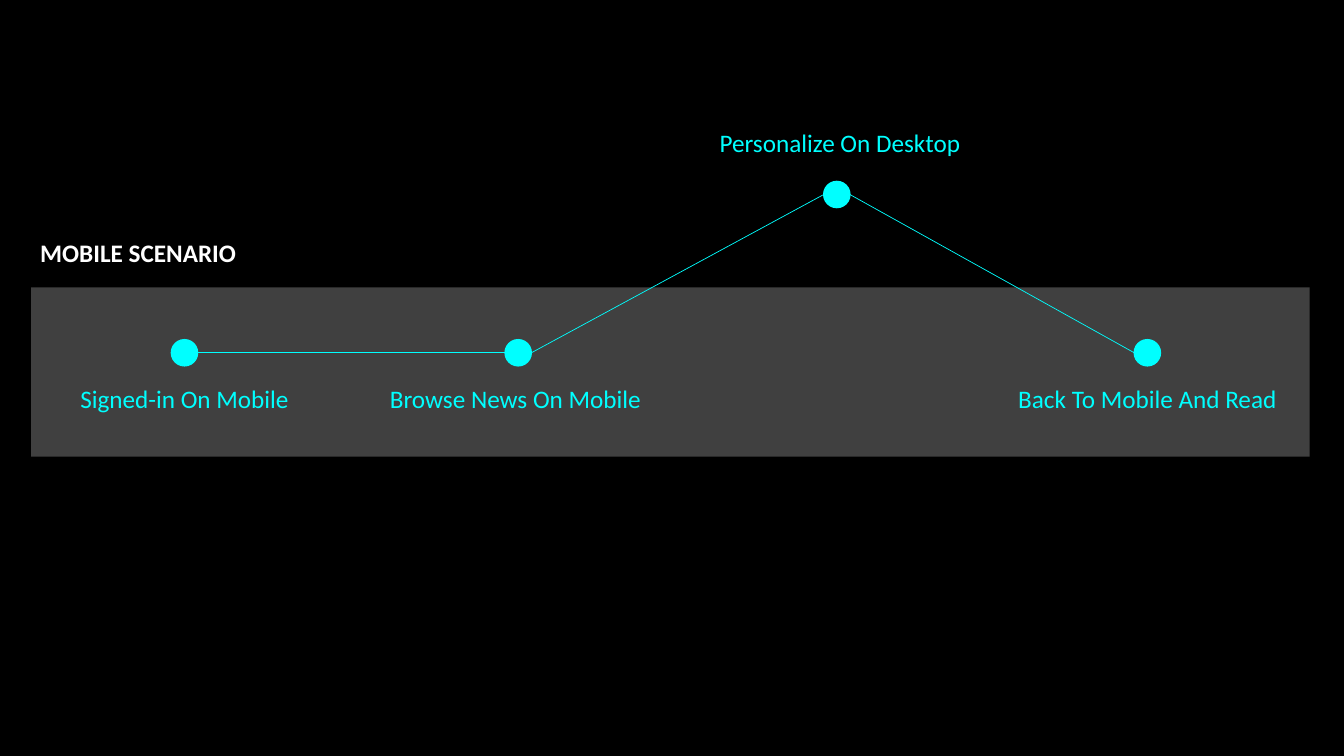
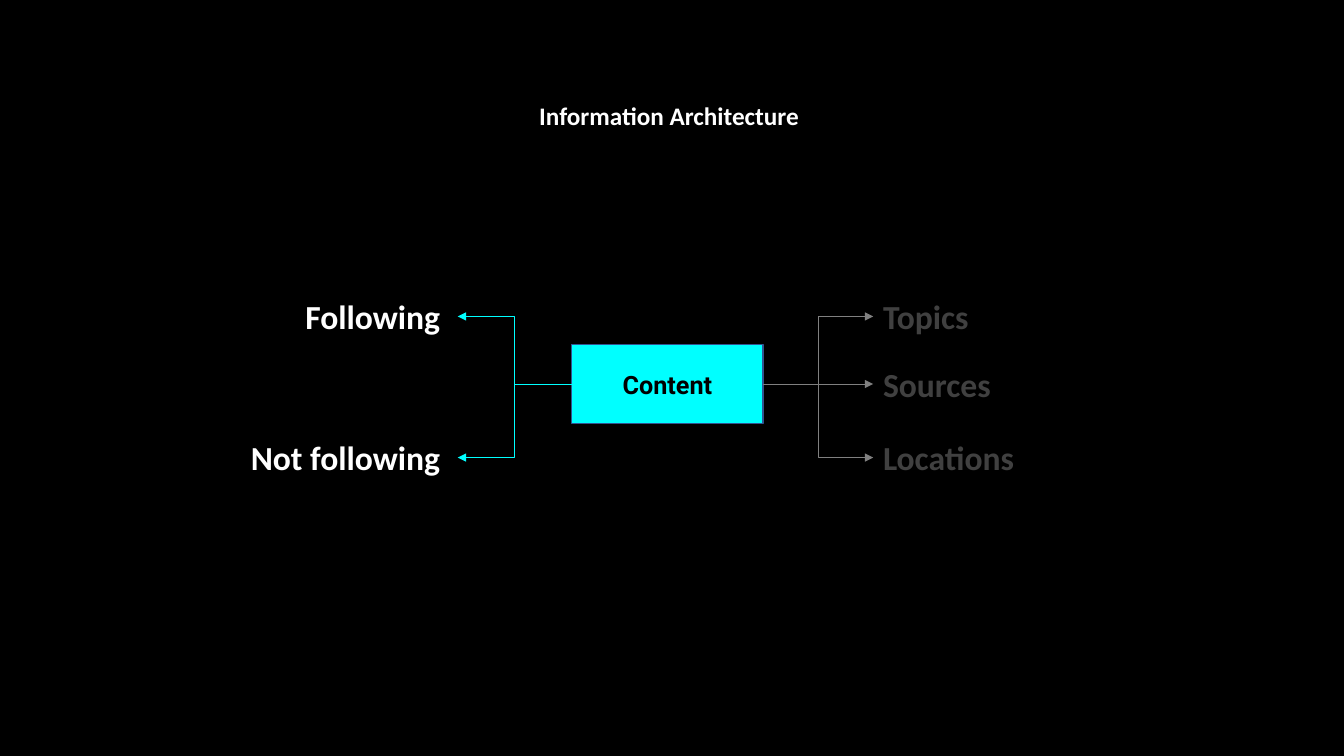
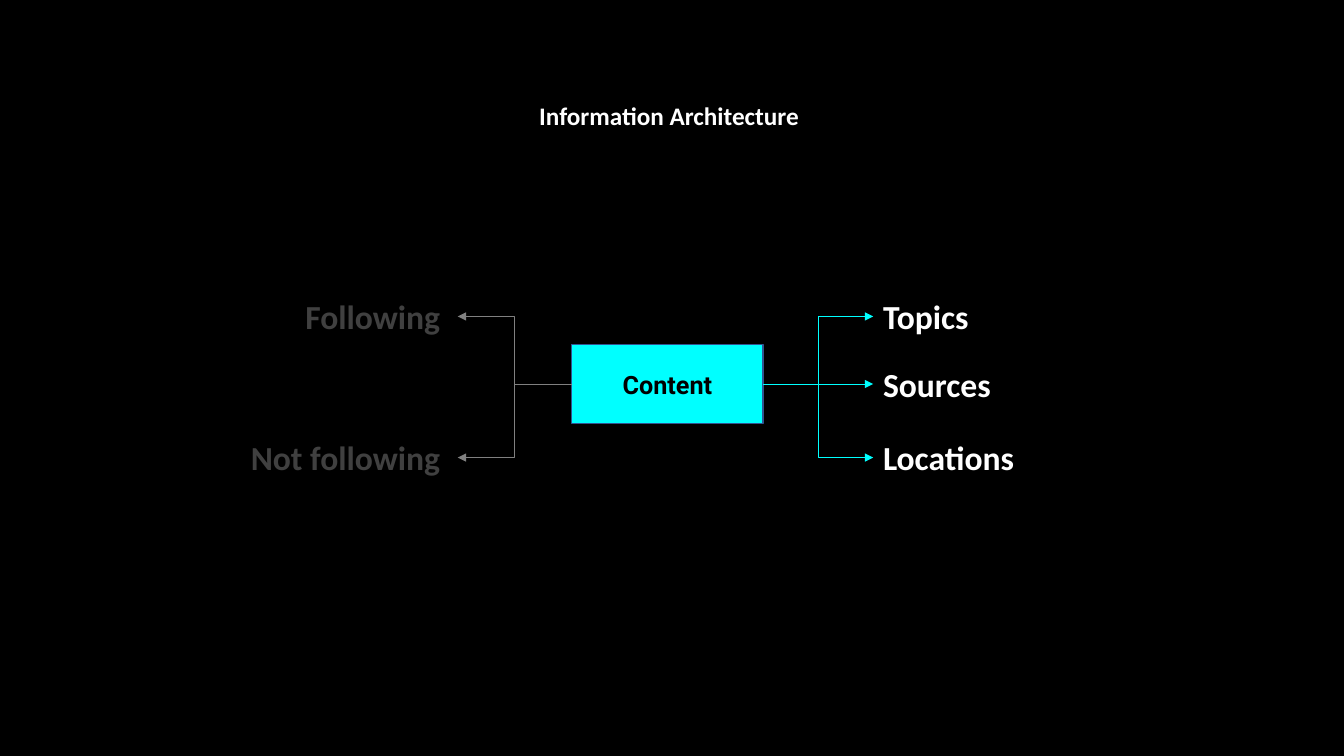
from lxml.etree import SubElement
from pptx import Presentation
from pptx.dml.color import RGBColor
from pptx.enum.shapes import MSO_CONNECTOR, MSO_SHAPE
from pptx.enum.text import MSO_ANCHOR, MSO_AUTO_SIZE, PP_ALIGN
from pptx.oxml.ns import qn
from pptx.util import Inches, Pt

HUES = {
    "back": "000000",
    "text": "FFFFFF",
    "glow": "00FFFF",
    "dim": "404040",
    "wire": "808080",
    "edge": "325491",
}


class Deck:
    """Holds the shared style and the current slide."""

    def __init__(self):
        self.show = Presentation()
        self.show.slide_width = Inches(13.33)
        self.show.slide_height = Inches(7.5)
        self.slide = None

    def page(self):
        self.slide = self.show.slides.add_slide(self.show.slide_layouts[6])
        fill = self.slide.background.fill
        fill.solid()
        fill.fore_color.rgb = self.hue("back")

    def hue(self, name):
        return RGBColor.from_string(HUES[name])

    def words(self, frame, text, size, hue, align, bold, font="Calibri"):
        para = frame.paragraphs[0]
        para.alignment = align
        run = para.add_run()
        run.text = text
        run.font.name = font
        run.font.size = Pt(size)
        run.font.bold = bold
        run.font.color.rgb = self.hue(hue)

    def label(self, text, x, y, w, hue="text", size=18, align=PP_ALIGN.LEFT, bold=True):
        high = 0.4 if size == 18 else 0.5
        box = self.slide.shapes.add_textbox(Inches(x), Inches(y), Inches(w), Inches(high))
        frame = box.text_frame
        frame.word_wrap = True
        frame.auto_size = MSO_AUTO_SIZE.SHAPE_TO_FIT_TEXT
        self.words(frame, text, size, hue, align, bold)

    def shape(self, kind, x, y, w, h, fill, edge=None):
        item = self.slide.shapes.add_shape(kind, Inches(x), Inches(y), Inches(w), Inches(h))
        item.shadow.inherit = False
        item.fill.solid()
        item.fill.fore_color.rgb = self.hue(fill)
        if edge:
            item.line.color.rgb = self.hue(edge)
            item.line.width = Pt(1)
        else:
            item.line.fill.background()
        return item

    def link(self, start, end, hue="glow", bent=False, arrow=False):
        kind = MSO_CONNECTOR.ELBOW if bent else MSO_CONNECTOR.STRAIGHT
        ends = [Inches(n) for n in (*start, *end)]
        wire = self.slide.shapes.add_connector(kind, *ends)
        wire.line.color.rgb = self.hue(hue)
        wire.line.width = Pt(0.5)
        props = wire.element.spPr
        if arrow:
            SubElement(props.find(qn("a:ln")), qn("a:tailEnd"), type="triangle")
        SubElement(props, qn("a:effectLst"))

    def journey(self):
        self.page()
        self.shape(MSO_SHAPE.RECTANGLE, 0.31, 2.85, 12.68, 1.68, "dim")
        self.label("MOBILE SCENARIO", 0.3, 2.31, 2.78)
        stops = [
            ("Signed-in On Mobile", 1.83, 3.5, 1.83, 3.75),
            ("Browse News On Mobile ", 5.14, 3.5, 5.14, 3.75),
            ("Personalize On Desktop", 8.3, 1.93, 8.33, 1.21),
            ("Back To Mobile And Read", 11.38, 3.5, 11.38, 3.75),
        ]
        rad, wide = 0.13, 3.22
        for text, x, y, mid, top in stops:
            self.shape(MSO_SHAPE.OVAL, x - rad, y - rad, 2 * rad, 2 * rad, "glow", "glow")
            self.label(text, mid - wide / 2, top, wide, "glow", align=PP_ALIGN.CENTER, bold=False)
        for last, stop in zip(stops, stops[1:]):
            self.link((last[1] + rad, last[2]), (stop[1] - rad, stop[2]))

    def map(self, lit):
        self.page()
        self.label("Information Architecture ", 4.86, 0.95, 3.61, align=PP_ALIGN.CENTER)
        left, top, wide, high, mid = 5.67, 3.42, 1.9, 0.78, 3.81
        box = self.shape(MSO_SHAPE.RECTANGLE, left, top, wide, high, "glow", "edge")
        frame = box.text_frame
        frame.vertical_anchor = MSO_ANCHOR.MIDDLE
        self.words(frame, "Content", 18, "back", PP_ALIGN.CENTER, True, "Roboto")
        sides = {
            "left": (left, 4.54, 1.81, 2.73, PP_ALIGN.RIGHT,
                     [("Following ", 3.14), ("Not following ", 4.54)]),
            "right": (left + wide, 8.66, 8.66, 2.54, PP_ALIGN.LEFT,
                      [("Topics", 3.14), ("Sources", mid), ("Locations", 4.54)]),
        }
        for side, (start, end, x, w, align, rows) in sides.items():
            ink, wire = ("text", "glow") if side == lit else ("dim", "wire")
            for text, y in rows:
                self.label(text, x, y - 0.25, w, ink, 24, align)
                self.link((start, mid), (end, y), wire, bent=y != mid, arrow=True)


def main():
    deck = Deck()
    deck.journey()
    for side in ("left", "right"):
        deck.map(side)
    deck.show.save("out.pptx")


if __name__ == "__main__":
    main()
